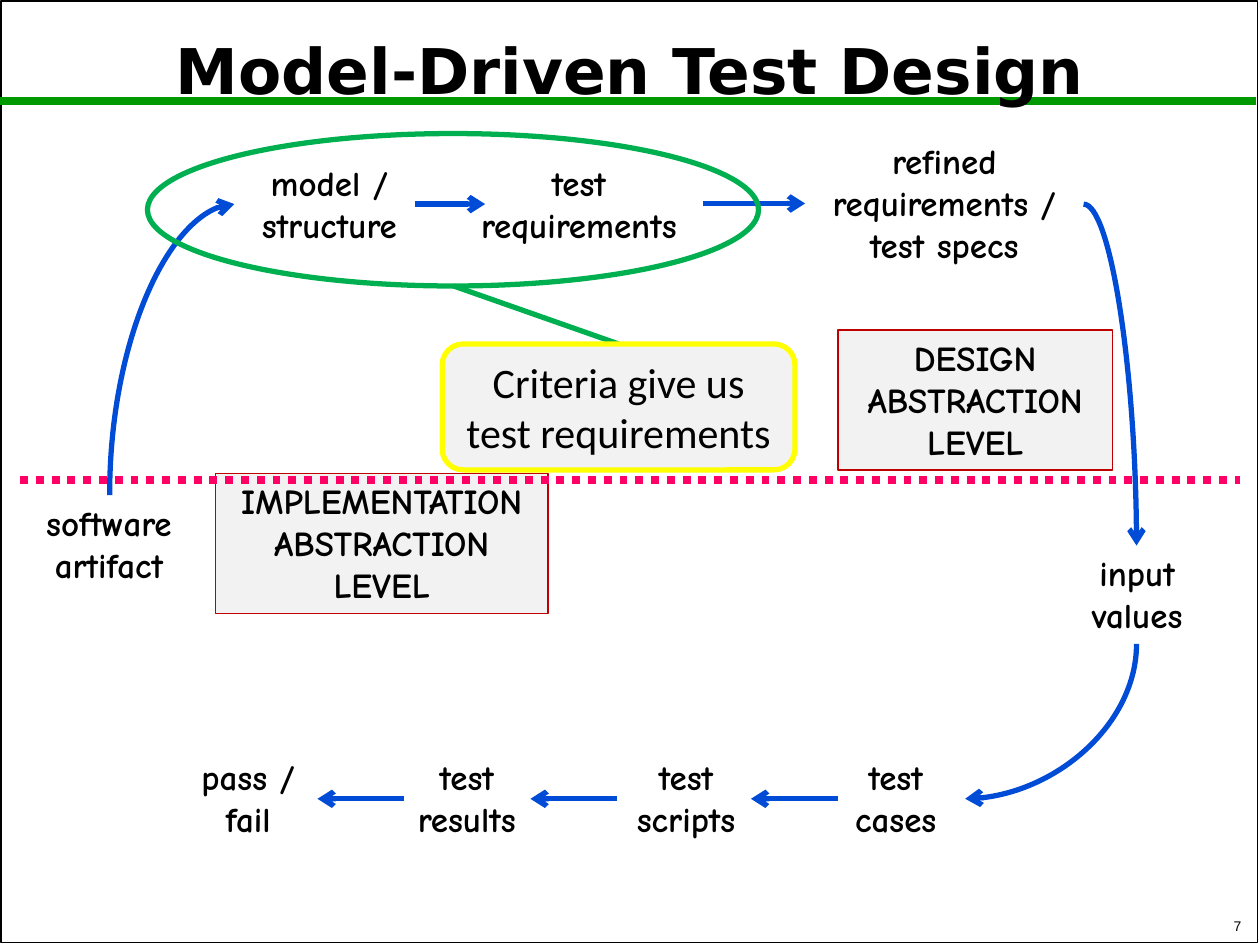
from lxml import etree
from pptx import Presentation
from pptx.dml import color
from pptx.enum import dml, shapes, text
from pptx.oxml import ns
from pptx.util import Inches, Pt

BLACK, BLUE, GREEN, GREY = "000000", "004CD6", "00B050", "F2F2F2"
HAND = "Comic Neue"
MODEL_ROW, RESULT_ROW = 1.62, 6.34


def rgb(value):
    return color.RGBColor.from_string(value)


def write(frame, lines, size, font, bold=False, align=text.PP_ALIGN.CENTER,
          anchor=text.MSO_ANCHOR.TOP, wrap=True):
    frame.word_wrap = wrap
    frame.vertical_anchor = anchor
    frame.text = "\n".join(lines)
    for paragraph in frame.paragraphs:
        paragraph.alignment = align
        paragraph.font.size = Pt(size)
        paragraph.font.name = font
        paragraph.font.bold = bold
        paragraph.font.color.rgb = rgb(BLACK)


def add_label(slide, words, left, top, width, height=0.77):
    label = slide.shapes.add_textbox(*map(Inches, (left, top, width, height)))
    write(label.text_frame, [words], 20, HAND, True)
    return label


def add_outline(slide, kind, place, line, weight, fill=None):
    outline = slide.shapes.add_shape(kind, *map(Inches, place))
    outline.shadow.inherit = False
    outline.line.color.rgb = rgb(line)
    outline.line.width = Pt(weight)
    if fill:
        outline.fill.solid()
        outline.fill.fore_color.rgb = rgb(fill)
    else:
        outline.fill.background()
    return outline


def add_level(slide, words, left, top, width):
    level = add_outline(slide, shapes.MSO_SHAPE.RECTANGLE, (left, top, width, 1.11),
                        "C00000", 0.75, GREY)
    write(level.text_frame, words, 20, HAND, True, wrap=False)


def add_line(slide, start, end, line, weight, arrow=False,
             kind=shapes.MSO_CONNECTOR.STRAIGHT):
    connector = slide.shapes.add_connector(kind, *map(Inches, (*start, *end)))
    connector.line.color.rgb = rgb(line)
    connector.line.width = Pt(weight)
    properties = connector._element.spPr
    if arrow:
        etree.SubElement(properties.find(ns.qn("a:ln")), ns.qn("a:tailEnd"), type="arrow")
    etree.SubElement(properties, ns.qn("a:effectLst"))
    return connector


def add_arrow(slide, start, end):
    return add_line(slide, start, end, BLUE, 3, arrow=True)


def add_curve(slide, start, end, leaves_vertically):
    if leaves_vertically:
        (x1, y1), (x2, y2) = start, end
        middle_x, middle_y = (x1 + x2) / 2, (y1 + y2) / 2
        half_x, half_y = (y2 - y1) / 2, (x1 - x2) / 2
        start = middle_x - half_x, middle_y - half_y
        end = middle_x + half_x, middle_y + half_y
    curve = add_line(slide, start, end, BLUE, 3, True, shapes.MSO_CONNECTOR.CURVE)
    properties = curve._element.spPr
    properties.find(ns.qn("a:prstGeom")).set("prst", "curvedConnector2")
    if leaves_vertically:
        properties.find(ns.qn("a:xfrm")).set("rot", str(90 * 60000))


def add_heading(slide):
    add_outline(slide, shapes.MSO_SHAPE.RECTANGLE, (0.01, 0.01, 9.97, 7.47), BLACK, 1)
    add_line(slide, (0, 0.8), (9.97, 0.8), "009900", 4.5)
    title = slide.shapes.title
    title.left, title.top, title.width, title.height = map(Inches, (0.05, 0.11, 9.9, 0.95))
    write(title.text_frame, ["Model-Driven Test Design"], 36, "DejaVu Sans", True,
          anchor=text.MSO_ANCHOR.MIDDLE)
    title.text_frame.paragraphs[0].line_spacing = 0.9
    title._element.getparent().append(title._element)
    number = slide.shapes.add_textbox(*map(Inches, (7.87, 7.17, 2.08, 0.29)))
    write(number.text_frame, ["7"], 8, "Arial", align=text.PP_ALIGN.RIGHT,
          anchor=text.MSO_ANCHOR.BOTTOM)


def add_process(slide):
    add_label(slide, "software artifact", 0.11, 3.93, 1.51)
    add_label(slide, "model / structure", 1.86, 1.23, 1.51)
    requirements = add_label(slide, "test requirements", 3.61, 1.23, 1.97)
    refined = add_label(slide, "refined requirements / test specs", 6.39, 1.06, 2.21, 1.11)
    add_label(slide, "input values", 8.27, 4.33, 1.51)
    for words, left, width in (("test cases", 6.56, 1.1), ("test scripts", 4.82, 1.25),
                               ("test results", 3.08, 1.25), ("pass / fail", 1.35, 1.24)):
        add_label(slide, words, left, 5.95, width)

    add_curve(slide, (0.87, 3.93), (1.86, MODEL_ROW), True)
    add_curve(slide, (9.02, 5.11), (7.66, RESULT_ROW), True)
    add_arrow(slide, (3.29, MODEL_ROW), (3.85, MODEL_ROW))
    refinement = add_arrow(slide, (5.58, MODEL_ROW), (6.39, MODEL_ROW))
    refinement.begin_connect(requirements, 3)
    refinement.end_connect(refined, 1)
    for start in (3.21, 4.9, 6.65):
        add_arrow(slide, (start, RESULT_ROW), (start - 0.69, RESULT_ROW))


def add_levels(slide):
    add_level(slide, ["IMPLEMENTATION", "ABSTRACTION", "LEVEL"], 1.71, 3.76, 2.64)
    add_level(slide, ["DESIGN", "ABSTRACTION", "LEVEL"], 6.65, 2.62, 2.18)
    add_curve(slide, (8.6, MODEL_ROW), (9.02, 4.33), False)
    divider = add_line(slide, (0.16, 3.81), (9.84, 3.81), "FF0066", 4.5)
    divider.line.dash_style = dml.MSO_LINE.ROUND_DOT


def add_criteria(slide):
    add_outline(slide, shapes.MSO_SHAPE.OVAL, (1.17, 1.06, 4.85, 1.21), GREEN, 3)
    pointer = add_line(slide, (3.6, 2.27), (4.91, 2.73), GREEN, 3)
    criteria = add_outline(slide, shapes.MSO_SHAPE.ROUNDED_RECTANGLE,
                           (3.51, 2.73, 2.8, 1), "FFFF00", 3, GREY)
    write(criteria.text_frame, ["Criteria give us test requirements"], 24, "Calibri",
          anchor=text.MSO_ANCHOR.MIDDLE)
    pointer.end_connect(criteria, 0)


def main():
    deck = Presentation()
    deck.slide_width, deck.slide_height = Inches(10), Inches(7.5)
    slide = deck.slides.add_slide(deck.slide_layouts[5])
    add_heading(slide)
    add_process(slide)
    add_levels(slide)
    add_criteria(slide)
    deck.save("out.pptx")


if __name__ == "__main__":
    main()
